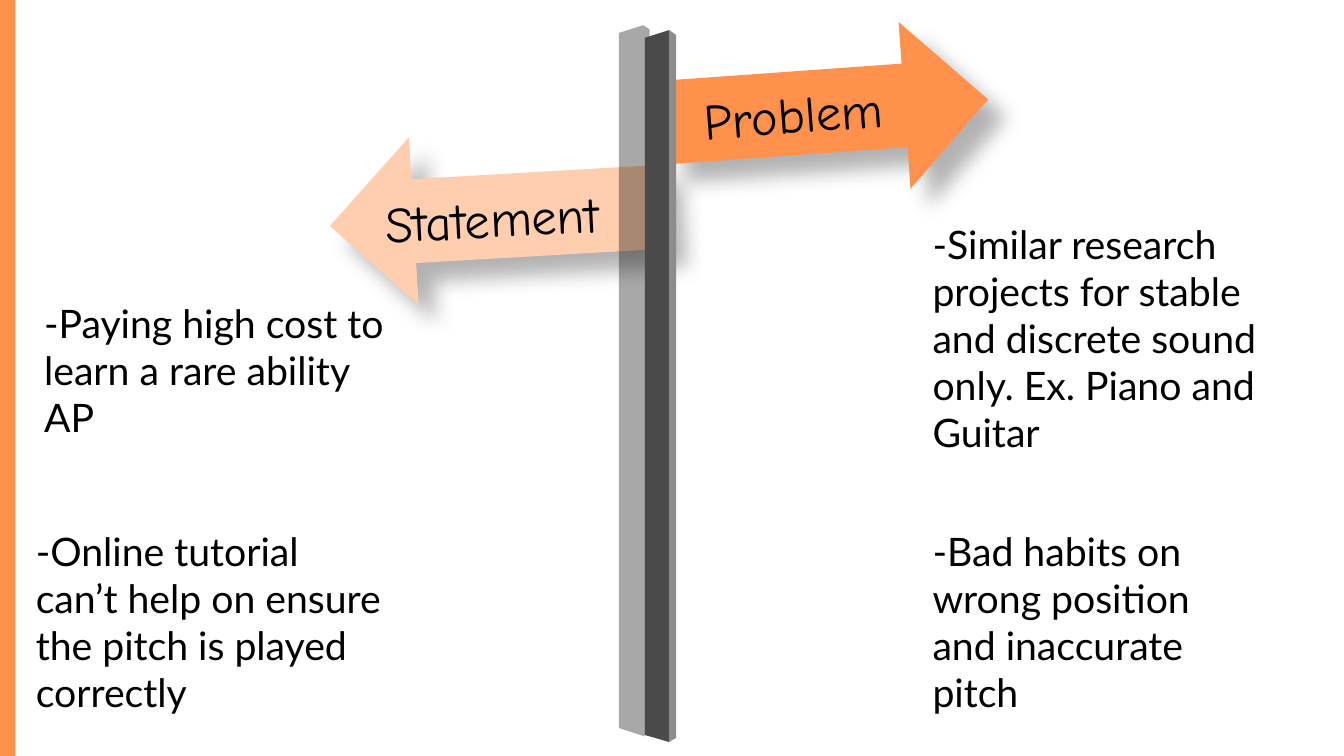
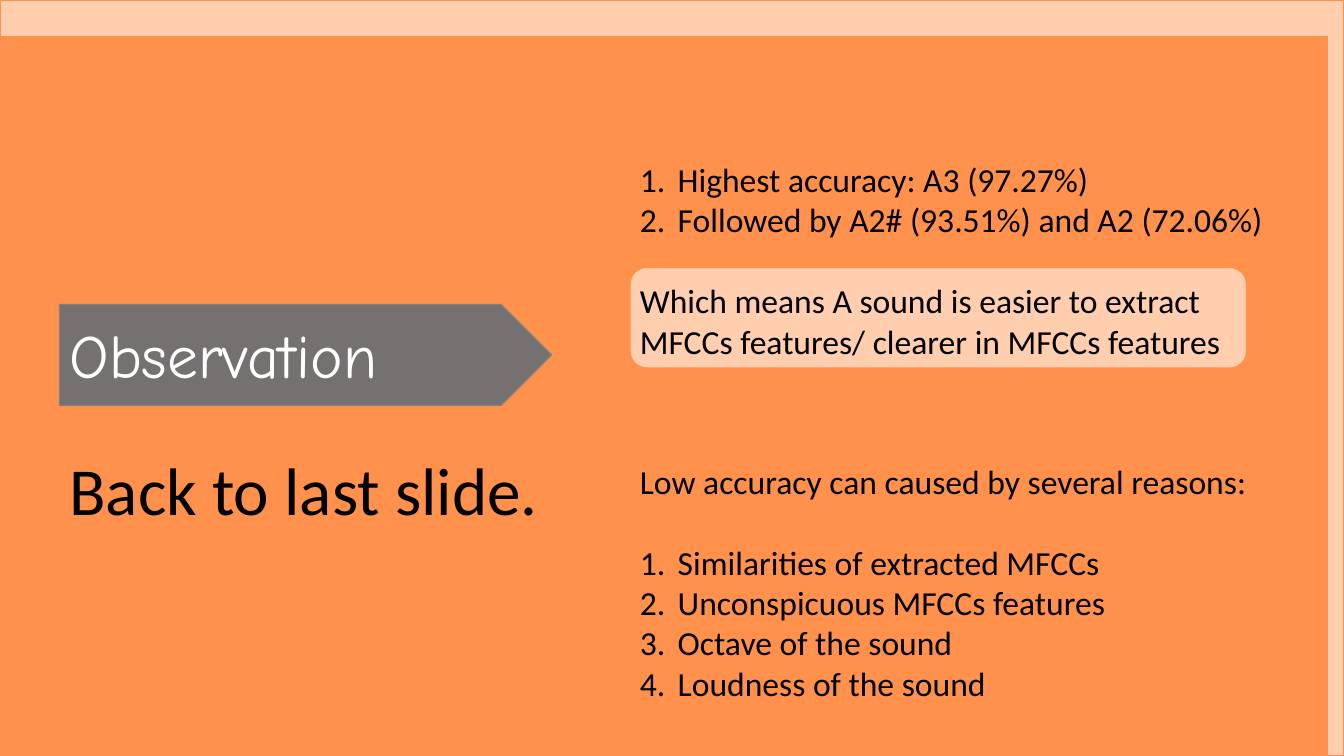
from lxml import etree
from pptx import Presentation
from pptx.dml.color import RGBColor
from pptx.enum.shapes import MSO_SHAPE
from pptx.enum.text import MSO_ANCHOR, MSO_AUTO_SIZE, PP_ALIGN
from pptx.oxml.ns import qn
from pptx.util import Pt

RECTANGLE = MSO_SHAPE.RECTANGLE
ROUNDED = MSO_SHAPE.ROUNDED_RECTANGLE
PENTAGON = MSO_SHAPE.PENTAGON
LEFT_ARROW = MSO_SHAPE.LEFT_ARROW
RIGHT_ARROW = MSO_SHAPE.RIGHT_ARROW
TOP = MSO_ANCHOR.TOP
LEFT = PP_ALIGN.LEFT
FIT_SHAPE = MSO_AUTO_SIZE.SHAPE_TO_FIT_TEXT

WIDTH, HEIGHT = 960, 540
TITLE_ONLY = 5
TITLE_FONT, NOTE_FONT, BODY_FONT = "Comic Neue", "Lato", "Calibri"
COLORS = {
    "orange": "FF914D", "peach": "FFCEAF", "gray": "767171",
    "gray line": "808080", "post front": "4A4A4A", "post side": "8C8C8C",
    "black": "000000", "white": "FFFFFF",
}

# Boxes are left, top, width, height in points
SIGNS = [
    (RIGHT_ARROW, (475, 19.5, 231, 119.5), -4.1, "orange"),
    (LEFT_ARROW, (235.5, 94.5, 240.5, 120), -3.3, "peach"),
]
PROBLEM = ("Problem", (495.5, 54, 188, 51), -4.5)
STATEMENT = ("Statement", (268, 129.5, 202, 51), -2.9)
POST = [
    ("black", 34, [(442, 23.5), (459.5, 18), (464, 21), (464, 27),
                   (460.5, 28), (460.5, 526), (442, 520)]),
    ("post front", 100, [(460.5, 27), (478, 21.5), (478, 530), (460.5, 525)]),
    ("post side", 100, [(478, 21.5), (483, 25), (483, 527), (478, 530)]),
]
NOTES = [
    ("-Similar research projects for stable and discrete sound only. "
     "Ex. Piano and Guitar", (659, 153.5, 250, 177)),
    ("-Paying high cost to learn a rare ability AP", (24.5, 210, 263.5, 109)),
    ("-Online tutorial can’t help on ensure the pitch is played correctly",
     (18.5, 373, 263.5, 143)),
    ("-Bad habits on wrong position and inaccurate pitch",
     (659, 373, 248.5, 143)),
]

OBSERVATION_LEFT, FINDINGS_LEFT = 42.5, 450
BODY_LINE = 29
NUMBER_INDENT = 27
# Each line: text, is numbered, blank lines before it
FINDINGS = [
    ((FINDINGS_LEFT, 110, 462, 153), [
        ("Highest accuracy: A3 (97.27%)", True, 0),
        ("Followed by A2# (93.51%) and A2 (72.06%)", True, 0),
        ("Which means A sound is easier to extract MFCCs features/ "
         "clearer in MFCCs features", False, 1),
    ]),
    ((FINDINGS_LEFT, 325.5, 480, 181.5), [
        ("Low accuracy can caused by several reasons:", False, 0),
        ("Similarities of extracted MFCCs", True, 1),
        ("Unconspicuous MFCCs features", True, 0),
        ("Octave of the sound", True, 0),
        ("Loudness of the sound", True, 0),
    ]),
]


def color(name):
    return RGBColor.from_string(COLORS[name])


def paint(shape, fill, line=None):
    shape.shadow.inherit = False
    shape.fill.solid()
    shape.fill.fore_color.rgb = color(fill)
    if line:
        shape.line.color.rgb = color(line)
        shape.line.width = Pt(1)
    else:
        shape.line.fill.background()


def add_block(slide, kind, box, fill, line=None, rotation=0):
    shape = slide.shapes.add_shape(kind, *map(Pt, box))
    shape.rotation = rotation
    paint(shape, fill, line)
    return shape


def add_face(slide, fill, opacity, points):
    """Draw one outlined side of the post, with opacity in percent."""
    corners = [(Pt(x), Pt(y)) for x, y in points]
    builder = slide.shapes.build_freeform(*corners[0])
    builder.add_line_segments(corners[1:], close=True)
    shape = builder.convert_to_shape()
    paint(shape, fill)
    if opacity < 100:
        tint = shape.element.spPr.find(qn("a:solidFill"))[0]
        etree.SubElement(tint, qn("a:alpha"), val=str(opacity * 1000))


def add_shadow(shape):
    effects = shape.element.spPr.find(qn("a:effectLst"))
    shadow = etree.SubElement(
        effects, qn("a:outerShdw"), blurRad=str(Pt(15)), dist=str(Pt(18)),
        dir=str(45 * 60000), algn="tl", rotWithShape="0")
    black = etree.SubElement(shadow, qn("a:srgbClr"), val=COLORS["black"])
    etree.SubElement(black, qn("a:alpha"), val="30000")


def number(paragraph):
    properties = paragraph._p.get_or_add_pPr()
    properties.set("marL", str(Pt(NUMBER_INDENT)))
    properties.set("indent", str(-Pt(NUMBER_INDENT)))
    etree.SubElement(properties, qn("a:buFont"), typeface="+mj-lt")
    etree.SubElement(properties, qn("a:buAutoNum"), type="arabicPeriod")


def add_text(slide, lines, box, font, size, fill="black", rotation=0,
             is_title=False):
    """Place a string, or (text, is numbered, blank lines before) tuples."""
    if is_title:
        shape = slide.shapes.title
        shape.element.getparent().append(shape.element)  # bring to front
    else:
        shape = slide.shapes.add_textbox(0, 0, 0, 0)
    shape.left, shape.top, shape.width, shape.height = map(Pt, box)
    shape.rotation = rotation
    frame = shape.text_frame
    frame.word_wrap = True
    frame.auto_size = FIT_SHAPE
    frame.vertical_anchor = TOP
    if isinstance(lines, str):
        lines = [(lines, False, 0)]
    for index, (text, numbered, gap) in enumerate(lines):
        paragraph = frame.add_paragraph() if index else frame.paragraphs[0]
        paragraph.alignment = LEFT
        paragraph.space_before = Pt(gap * BODY_LINE)
        if numbered:
            number(paragraph)
        run = paragraph.add_run()
        run.text = text
        run.font.name = font
        run.font.size = Pt(size)
        run.font.color.rgb = color(fill)


def build_problem(slide):
    add_block(slide, RECTANGLE, (0, 0, 11, HEIGHT), "orange")
    for kind, box, rotation, fill in SIGNS:
        add_shadow(add_block(slide, kind, box, fill, rotation=rotation))
    for fill, opacity, points in POST:
        add_face(slide, fill, opacity, points)
    for (text, box, rotation), is_title in ((PROBLEM, True),
                                            (STATEMENT, False)):
        add_text(slide, text, box, TITLE_FONT, 36, rotation=rotation,
                 is_title=is_title)
    for text, box in NOTES:
        add_text(slide, text, box, NOTE_FONT, 28)


def build_observation(slide):
    add_block(slide, RECTANGLE, (0, 0, WIDTH, HEIGHT), "peach", "orange")
    add_block(slide, RECTANGLE, (0, 26, 948, HEIGHT - 26), "orange", "orange")
    add_block(slide, PENTAGON, (OBSERVATION_LEFT, 217.5, 351.5, 72),
              "gray", "gray line")
    add_text(slide, "Observation", (OBSERVATION_LEFT, 223, 320, 60.5),
             TITLE_FONT, 44, fill="white", is_title=True)
    add_text(slide, "Back to last slide.", (OBSERVATION_LEFT, 317, 400, 65.5),
             BODY_FONT, 48)
    add_block(slide, ROUNDED, (FINDINGS_LEFT, 191, 440.5, 72),
              "peach", "orange")
    for box, lines in FINDINGS:
        add_text(slide, lines, box, BODY_FONT, 24)


def main():
    presentation = Presentation()
    presentation.slide_width, presentation.slide_height = Pt(WIDTH), Pt(HEIGHT)
    layout = presentation.slide_layouts[TITLE_ONLY]
    for build in (build_problem, build_observation):
        build(presentation.slides.add_slide(layout))
    presentation.save("out.pptx")


if __name__ == "__main__":
    main()
